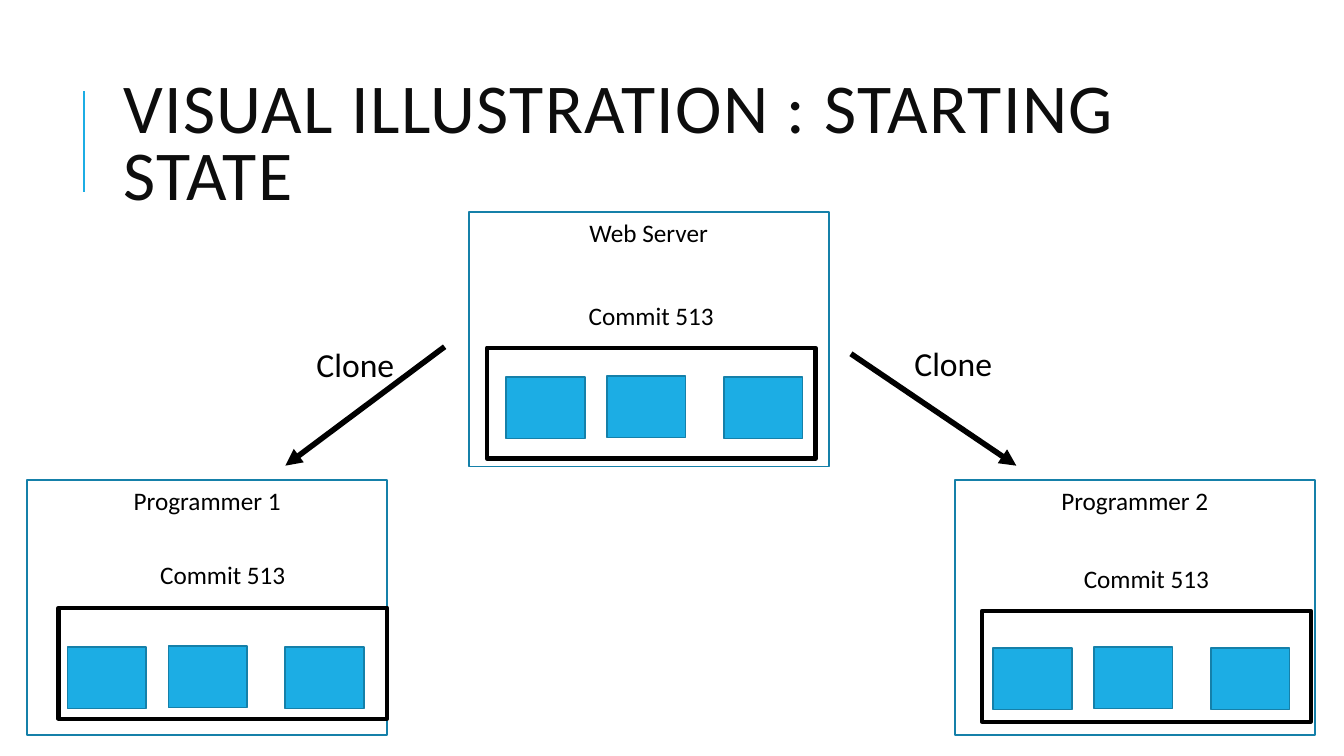
import pptx
import pptx.dml.color
import pptx.enum.shapes
import pptx.enum.text
import pptx.oxml
import pptx.oxml.ns
import pptx.util

Inches = pptx.util.Inches
Pt = pptx.util.Pt
RGBColor = pptx.dml.color.RGBColor
Align = pptx.enum.text.PP_ALIGN

SKY = RGBColor(0x1C, 0xAD, 0xE4)
TEAL = RGBColor(0x15, 0x80, 0xA9)
INK = RGBColor(0x0D, 0x0D, 0x0D)
BLACK = RGBColor(0, 0, 0)
FONT = "Calibri"

# Name, panel corner, commit frame corner, label top, first file corner
PANELS = [
    ("Web Server", (4.65, 2.1), (4.83, 3.45), 2.93, (5.02, 3.74)),
    ("Programmer 2", (9.47, 4.76), (9.74, 6.06), 5.54, (9.85, 6.43)),
    ("Programmer 1", (0.27, 4.76), (0.58, 6.03), 5.5, (0.67, 6.42)),
]
# Offsets of the three files from the first one
FILES = [(0, 0), (1, -0.01), (2.16, 0)]
# Arrow start, arrow end, label corner
CLONES = [
    ((4.41, 3.44), (2.83, 4.62), (3.04, 3.36)),
    ((8.44, 3.51), (10.08, 4.62), (8.97, 3.35)),
]


def style(para, size, color):
    para.font.name = FONT
    para.font.size = Pt(size)
    para.font.color.rgb = color


def add_title(slide, text):
    title = slide.shapes.title
    title.left, title.top = Inches(1.12), Inches(0.64)
    title.width, title.height = Inches(10.63), Inches(1.64)
    frame = title.text_frame
    frame.text = text
    frame.word_wrap = True
    frame.auto_size = pptx.enum.text.MSO_AUTO_SIZE.NONE
    frame.vertical_anchor = pptx.enum.text.MSO_ANCHOR.MIDDLE
    para = frame.paragraphs[0]
    para.alignment = Align.LEFT
    para.line_spacing = 0.8
    style(para, 50, INK)
    para.runs[0]._r.get_or_add_rPr().set("spc", "100")


def add_rect(slide, left, top, width, height, line, weight, fill=None):
    rect = slide.shapes.add_shape(
        pptx.enum.shapes.MSO_SHAPE.RECTANGLE,
        Inches(left), Inches(top), Inches(width), Inches(height))
    rect.shadow.inherit = False
    if fill is None:
        rect.fill.background()
    else:
        rect.fill.solid()
        rect.fill.fore_color.rgb = fill
    rect.line.color.rgb = line
    rect.line.width = Pt(weight)


def add_label(slide, text, left, top, width, height, size, align):
    box = slide.shapes.add_textbox(
        Inches(left), Inches(top), Inches(width), Inches(height))
    frame = box.text_frame
    frame.word_wrap = True
    frame.auto_size = pptx.enum.text.MSO_AUTO_SIZE.SHAPE_TO_FIT_TEXT
    frame.text = text
    para = frame.paragraphs[0]
    para.alignment = align
    style(para, size, BLACK)


def add_line(slide, start, end, color, weight, arrow=False):
    line = slide.shapes.add_connector(
        pptx.enum.shapes.MSO_CONNECTOR.STRAIGHT,
        *[Inches(n) for n in start + end])
    line.line.color.rgb = color
    line.line.width = Pt(weight)
    if arrow:
        pptx.oxml.ns.qn("a:tailEnd")
        tail = pptx.oxml.parse_xml(
            '<a:tailEnd %s type="triangle"/>' % pptx.oxml.ns.nsdecls("a"))
        line.line._get_or_add_ln().append(tail)
    line._element.spPr.append(pptx.oxml.parse_xml(
        "<a:effectLst %s/>" % pptx.oxml.ns.nsdecls("a")))


def add_panel(slide, name, panel, commit, top, first):
    add_rect(slide, *panel, 3.57, 2.53, TEAL, 1.25)
    add_label(slide, name, panel[0], panel[1] + 0.01, 3.57, 0.4, 18,
              Align.CENTER)
    for right, down in FILES:
        add_rect(slide, first[0] + right, first[1] + down, 0.78, 0.61,
                 TEAL, 1.25, SKY)
    add_rect(slide, *commit, 3.26, 1.1, BLACK, 3)
    add_label(slide, "Commit 513", commit[0], top, 3.26, 0.4, 18,
              Align.CENTER)


def main():
    deck = pptx.Presentation()
    deck.slide_width, deck.slide_height = Inches(13.33), Inches(7.5)
    slide = deck.slides.add_slide(deck.slide_layouts[5])

    # Heading with its accent rule
    add_title(slide, "VISUAL ILLUSTRATION : STARTING STATE")
    add_line(slide, (0.83, 1.9), (0.83, 0.9), SKY, 1.5)

    # Server and programmers
    for panel in PANELS:
        add_panel(slide, *panel)

    # Clone arrows
    for start, end, label in CLONES:
        add_line(slide, start, end, BLACK, 4, arrow=True)
        add_label(slide, "Clone", *label, 1.01, 0.5, 24, Align.LEFT)

    deck.save("out.pptx")


if __name__ == "__main__":
    main()
